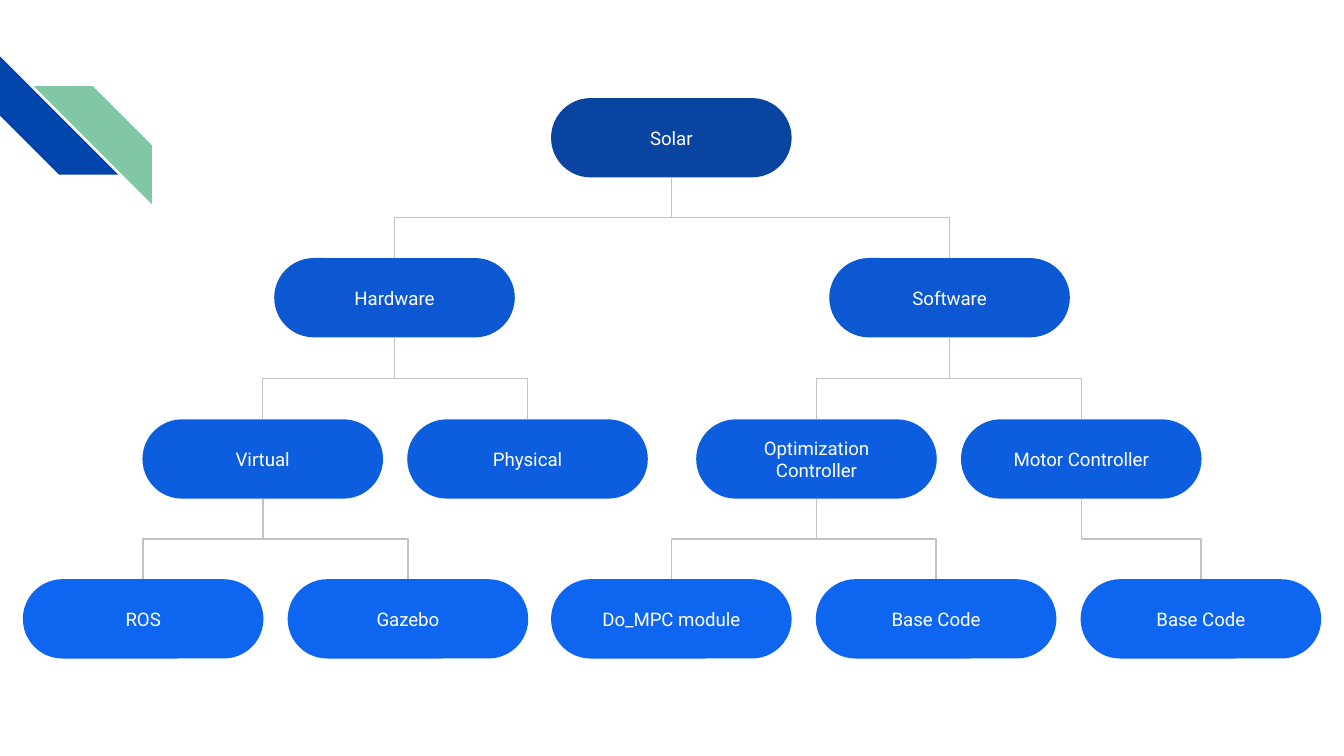
from dataclasses import dataclass

from pptx import Presentation
from pptx import util as u
from pptx.dml.color import RGBColor
from pptx.enum import shapes, text
from pptx.oxml.ns import qn
from pptx.oxml.xmlchemy import OxmlElement


@dataclass(frozen=True)
class Theme:
    font: str = "Roboto"
    size: float = 10
    ink: str = "FFFFFF"
    rule: str = "C2C2C2"
    weight: float = 0.75
    navy: str = "0145AC"
    green: str = "82C7A5"
    ranks: tuple = ("0944A1", "0C58D3", "0D5DDF", "0E65F0")


THEME = Theme()
WIDE, HIGH = 1.79, 0.59
TOPS = (0.73, 1.92, 3.12, 4.31)

TREE = ("Solar", 4.1, [
    ("Hardware", 2.04, [
        ("Virtual", 1.06, [("ROS", 0.17, []), ("Gazebo", 2.14, [])]),
        ("Physical", 3.03, []),
    ]),
    ("Software", 6.17, [
        ("Optimization Controller", 5.18, [
            ("Do_MPC module", 4.1, []),
            ("Base Code", 6.07, []),
        ]),
        ("Motor Controller", 7.15, [("Base Code", 8.04, [])]),
    ]),
])


def add_form(slide, kind, left, top, wide, high, fill):
    form = slide.shapes.add_shape(
        kind, u.Inches(left), u.Inches(top), u.Inches(wide), u.Inches(high))
    form.shadow.inherit = False
    form.adjustments[0] = 0.5
    form.fill.solid()
    form.fill.fore_color.rgb = RGBColor.from_string(fill)
    form.line.fill.background()
    return form


def add_stripes(slide):
    kind = shapes.MSO_SHAPE.DIAGONAL_STRIPE
    navy = add_form(slide, kind, 0, 0.42, 0.88, 0.88, THEME.navy)
    navy.rotation = 270
    green = add_form(slide, kind, 0.25, 0.64, 0.88, 0.88, THEME.green)
    green.element.spPr.find(qn("a:xfrm")).set("flipH", "1")


def add_node(slide, name, left, rank):
    node = add_form(slide, shapes.MSO_SHAPE.ROUNDED_RECTANGLE,
                    left, TOPS[rank], WIDE, HIGH, THEME.ranks[rank])
    frame = node.text_frame
    frame.word_wrap = True
    frame.vertical_anchor = text.MSO_ANCHOR.MIDDLE
    frame.margin_left = frame.margin_right = u.Inches(0.1)
    frame.margin_top = frame.margin_bottom = u.Inches(0.1)
    para = frame.paragraphs[0]
    para.alignment = text.PP_ALIGN.CENTER
    run = para.add_run()
    run.text = name
    run.font.name = THEME.font
    run.font.size = u.Pt(THEME.size)
    run.font.color.rgb = RGBColor.from_string(THEME.ink)


def add_link(slide, left, child, rank):
    start, end = TOPS[rank] + HIGH, TOPS[rank + 1]
    mid_x, mid_y = (left + child + WIDE) / 2, (start + end) / 2
    side = 1 if child > left else -1
    half_x, half_y = side * (end - start) / 2, abs(child - left) / 2
    link = slide.shapes.add_connector(
        shapes.MSO_CONNECTOR.ELBOW,
        u.Inches(mid_x + half_x), u.Inches(mid_y - half_y),
        u.Inches(mid_x - half_x), u.Inches(mid_y + half_y))
    link.line.width = u.Pt(THEME.weight)
    link.line.color.rgb = RGBColor.from_string(THEME.rule)
    props = link._element.spPr
    turn = 270 if side > 0 else 90
    props.find(qn("a:xfrm")).set("rot", str(turn * 60000))
    props.append(OxmlElement("a:effectLst"))


def add_tree(slide, node, rank=0):
    name, left, kids = node
    add_node(slide, name, left, rank)
    for kid in kids:
        add_link(slide, left, kid[1], rank)
        add_tree(slide, kid, rank + 1)


def main():
    deck = Presentation()
    deck.slide_width = u.Inches(10)
    deck.slide_height = u.Inches(10 * 9 / 16)
    slide = deck.slides.add_slide(deck.slide_layouts[6])
    add_stripes(slide)
    add_tree(slide, TREE)
    deck.save("out.pptx")


if __name__ == "__main__":
    main()
